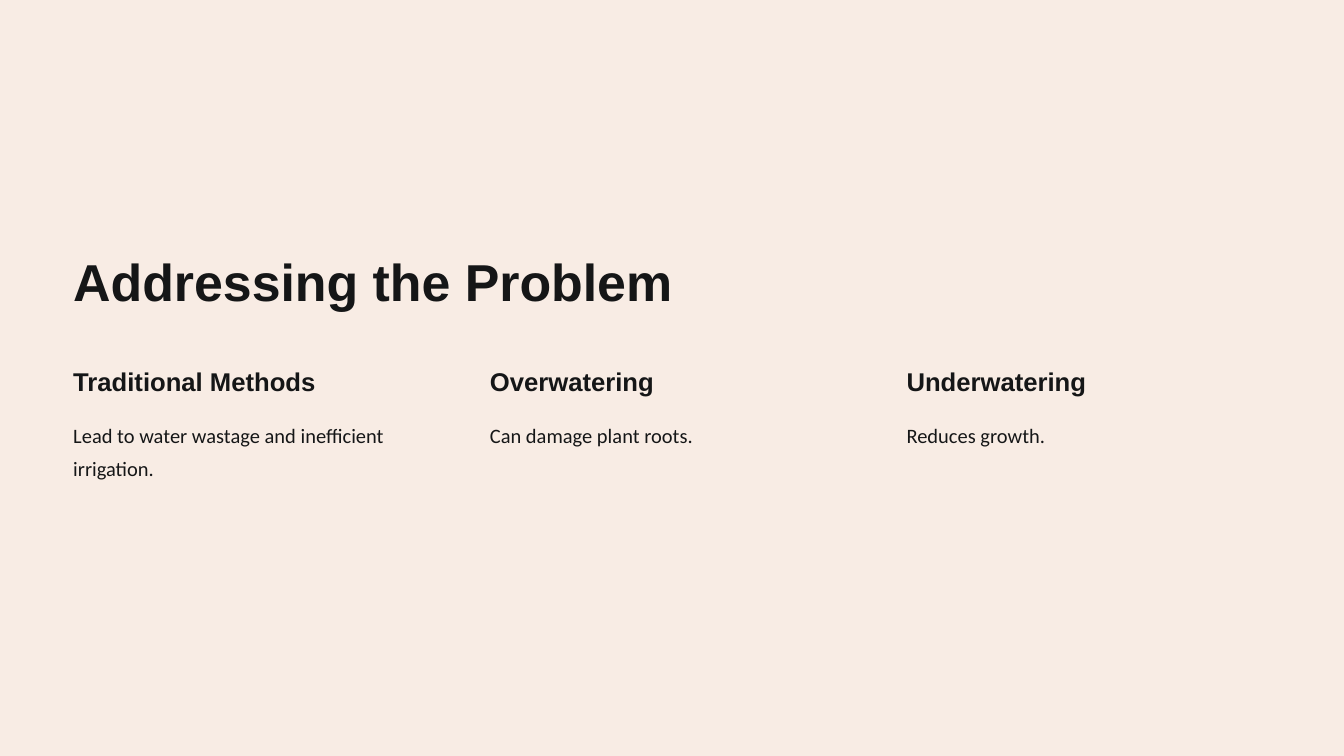
from pptx import Presentation
from pptx.dml.color import RGBColor
from pptx.enum import shapes
from pptx.util import Inches, Pt

TITLE = "Addressing the Problem"
COLUMNS = [
    ("Traditional Methods", "Lead to water wastage and inefficient irrigation."),
    ("Overwatering", "Can damage plant roots."),
    ("Underwatering", "Reduces growth."),
]
COLORS = {"backdrop": "F8ECE4", "ink": "151617"}
STYLES = {
    "title": {"font": "Arial", "size": 55.6, "leading": 69.4, "bold": True},
    "heading": {"font": "Arial", "size": 27.5, "leading": 34.4, "bold": True},
    "body": {"font": "Calibri", "size": 21.9, "leading": 35.6, "bold": False},
}
WIDTH, HEIGHT = 20, 11.25
MARGIN, COLUMN_STEP, COLUMN_WIDTH = 1.09, 6.2, 5.44


def add_text(page, words, style, left, top, width, height):
    box = page.shapes.add_textbox(
        Inches(left), Inches(top), Inches(width), Inches(height)
    )
    frame = box.text_frame
    frame.word_wrap = True
    frame.margin_left = frame.margin_right = 0
    frame.margin_top = frame.margin_bottom = 0
    para = frame.paragraphs[0]
    para.line_spacing = Pt(style["leading"])
    span = para.add_run()
    span.text = words
    span.font.name = style["font"]
    span.font.size = Pt(style["size"])
    span.font.bold = style["bold"]
    span.font.color.rgb = RGBColor.from_string(COLORS["ink"])


def main():
    deck = Presentation()
    deck.slide_width, deck.slide_height = Inches(WIDTH), Inches(HEIGHT)
    page = deck.slides.add_slide(deck.slide_layouts[6])

    backdrop = page.shapes.add_shape(
        shapes.MSO_SHAPE.RECTANGLE, 0, 0, deck.slide_width, deck.slide_height
    )
    backdrop.shadow.inherit = False
    backdrop.fill.solid()
    backdrop.fill.fore_color.rgb = RGBColor.from_string(COLORS["backdrop"])
    backdrop.line.fill.background()

    add_text(page, TITLE, STYLES["title"], MARGIN, 3.67, 10.24, 1.02)
    for index, (heading, body) in enumerate(COLUMNS):
        left = MARGIN + index * COLUMN_STEP
        add_text(page, heading, STYLES["heading"], left, 5.43, 4.23, 0.52)
        add_text(page, body, STYLES["body"], left, 6.17, COLUMN_WIDTH, 1.08)

    deck.save("out.pptx")


if __name__ == "__main__":
    main()
